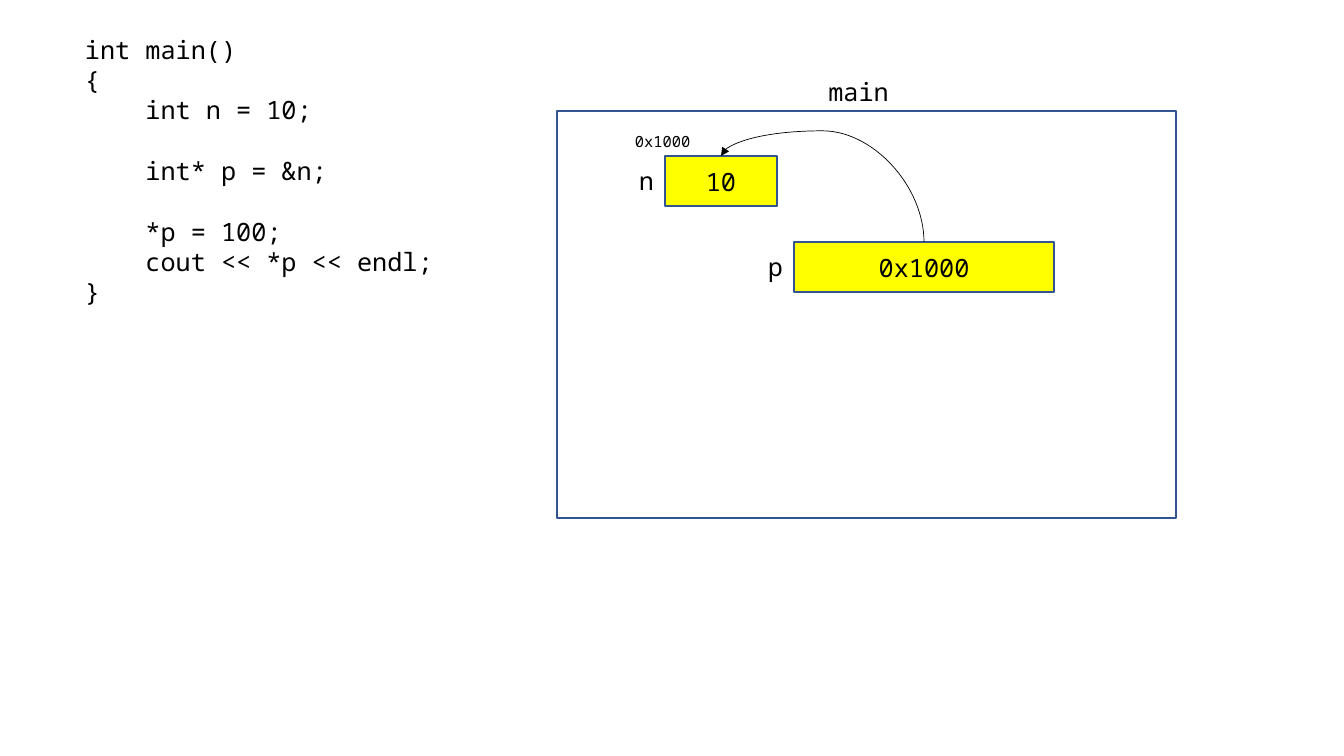
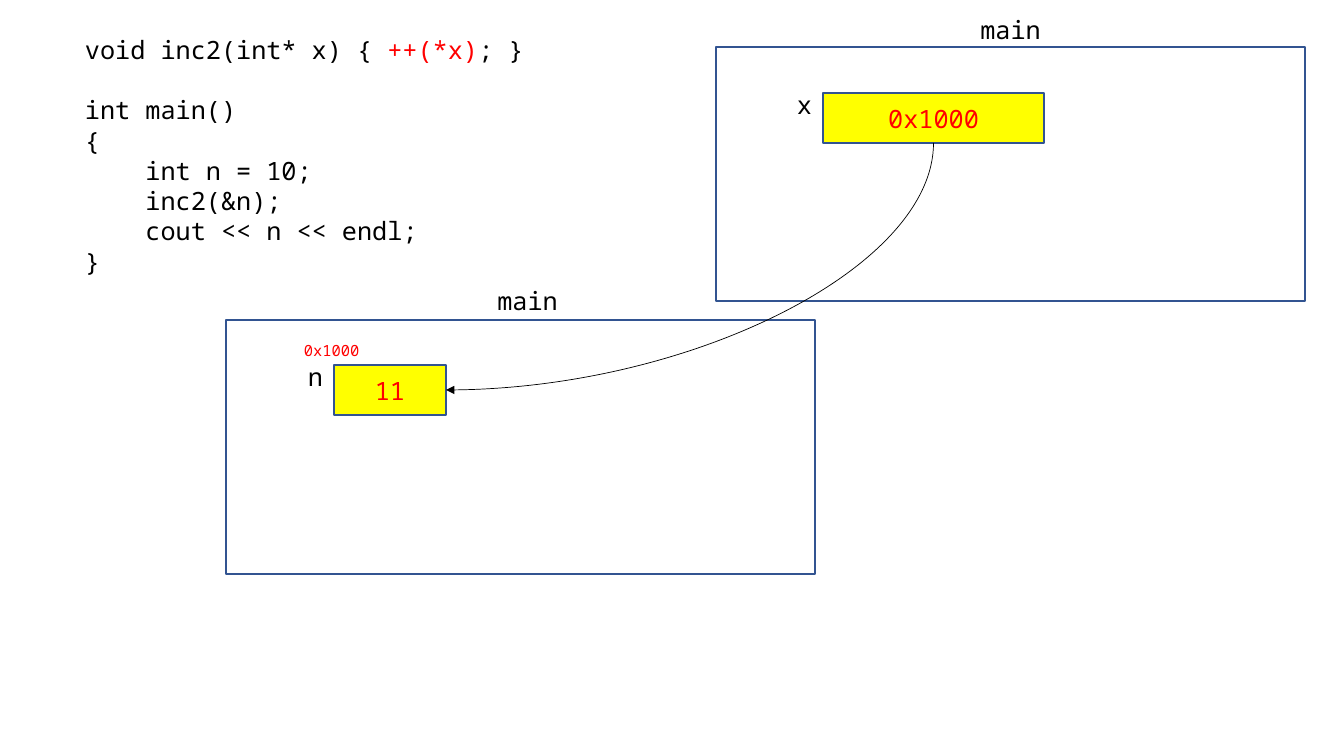
from pptx import Presentation
from pptx.dml.color import RGBColor
from pptx.enum.shapes import MSO_CONNECTOR as Link, MSO_SHAPE as Shape
from pptx.enum.text import MSO_ANCHOR as Anchor, MSO_AUTO_SIZE as Fit, PP_ALIGN as Align
from pptx.oxml.ns import qn
from pptx.util import Pt
from lxml.etree import SubElement

SCALE = 9071  # EMU per pixel
BLACK = RGBColor(0x00, 0x00, 0x00)
WHITE = RGBColor(0xFF, 0xFF, 0xFF)
RED = RGBColor(0xFF, 0x00, 0x00)
YELLOW = RGBColor(0xFF, 0xFF, 0x00)
BLUE = RGBColor(0x32, 0x54, 0x91)


def px(*nums):
    return [round(num * SCALE) for num in nums]


def point(shape, across, down):
    """Point of a shape at the given fractions of its width and height."""
    return (shape.left + round(shape.width * across),
            shape.top + round(shape.height * down))


def assign(target, **values):
    for name, value in values.items():
        setattr(target, name, value)


class Deck:
    font = "Noto Sans Mono"
    size = 18
    line = Pt(21.8)   # height of one code line
    char = Pt(10.8)   # width of one code character

    def __init__(self):
        self.prs = Presentation()
        assign(self.prs, slide_width=px(1344)[0], slide_height=px(756)[0])

    def page(self):
        self.slide = self.prs.slides.add_slide(self.prs.slide_layouts[6])

    def run(self, para, text, color=BLACK, size=size):
        run = para.add_run()
        run.text = text
        assign(run.font, name=self.font, size=Pt(size))
        run.font.color.rgb = color

    def box(self, *area):
        frame = self.slide.shapes.add_textbox(*px(*area)).text_frame
        assign(frame, word_wrap=True, auto_size=Fit.SHAPE_TO_FIT_TEXT)
        return frame

    def label(self, text, area, align=Align.LEFT, **style):
        para = self.box(*area).paragraphs[0]
        para.alignment = align
        self.run(para, text, **style)

    def code(self, area, source):
        """Empty lines become spacing, leading blanks an indent, `...` red."""
        frame = self.box(*area)
        para, gap = None, 0
        for row in source.strip().splitlines():
            text = row.lstrip()
            if not text:
                gap += self.line
                continue
            para = frame.add_paragraph() if para else frame.paragraphs[0]
            if gap:
                para.space_before = gap
            gap = 0
            depth = len(row) - len(text)
            if depth:
                para._p.get_or_add_pPr().set("marL", str(depth * self.char))
            for spot, part in enumerate(text.split("`")):
                self.run(para, part, RED if spot % 2 else BLACK)

    def rect(self, area, fill):
        shape = self.slide.shapes.add_shape(Shape.RECTANGLE, *px(*area))
        shape.shadow.inherit = False
        shape.fill.solid()
        shape.fill.fore_color.rgb = fill
        shape.line.color.rgb = BLUE
        shape.line.width = Pt(1)
        return shape

    def scope(self, name, area, shift=236, rise=40):
        self.rect(area, WHITE)
        left, top = area[:2]
        self.label(name, (left + shift, top - rise, 131, 40), Align.CENTER)

    def cell(self, name, value, left, top, width, drop, color=BLACK, address=None):
        shape = self.rect((left, top, width, 50), YELLOW)
        shape.text_frame.vertical_anchor = Anchor.MIDDLE
        para = shape.text_frame.paragraphs[0]
        para.alignment = Align.CENTER
        self.run(para, value, color)
        self.label(name, (left - 58, top + drop, 57, 40), Align.RIGHT)
        if address:
            self.label(address, (left - 40, top - 29, 81, 29), color=color, size=11)
        return shape

    def curve(self, start, end, turn, kind, bend=None):
        """Curved arrow laid out unrotated, then turned by 90 or 270 degrees."""
        mid_x, mid_y = (start[0] + end[0]) // 2, (start[1] + end[1]) // 2
        sign = 1 if turn == 90 else -1
        ends = []
        for x, y in (start, end):
            ends += [mid_x + sign * (y - mid_y), mid_y - sign * (x - mid_x)]
        arrow = self.slide.shapes.add_connector(Link.CURVE, *ends)
        arrow.line.color.rgb = BLACK
        arrow.line.width = Pt(0.5)
        props = arrow._element.spPr
        props.find(qn("a:xfrm")).set("rot", str(turn * 60000))
        form = props.find(qn("a:prstGeom"))
        form.set("prst", kind)
        if bend:
            guides = form.find(qn("a:avLst"))
            if guides is None:
                guides = SubElement(form, qn("a:avLst"))
            SubElement(guides, qn("a:gd"), name="adj1", fmla=f"val {bend}")
        SubElement(props.find(qn("a:ln")), qn("a:tailEnd"), type="triangle")
        SubElement(props, qn("a:effectLst"))


deck = Deck()

# Slide 1: pointer to a local variable
deck.page()
deck.code((75, 29, 672, 285), """
int main()
{
    int n = 10;

    int* p = &n;

    *p = 100;
    cout << *p << endl;
}
""")
deck.scope("main", (557, 111, 619, 407))
number = deck.cell("n", "10", 665, 156, 112, 4, address="0x1000")
pointer = deck.cell("p", "0x1000", 794, 242, 260, 4)
deck.curve(point(pointer, 0.5, 0), point(number, 0.5, 0), 270,
           "curvedConnector3", 129300)

# Slide 2: pointer passed to a function
deck.page()
deck.code((75, 29, 672, 254), """
void inc2(int* x) { `++(*x)`; }

int main()
{
    int n = 10;
    inc2(&n);
    cout << n << endl;
}
""")
deck.scope("main", (226, 320, 589, 254))
number = deck.cell("n", "11", 334, 365, 112, -9, RED, "0x1000")
deck.scope("main", (716, 47, 589, 254), 229, 38)
pointer = deck.cell("x", "0x1000", 823, 93, 221, -9, RED)
deck.curve(point(pointer, 0.5, 1), point(number, 1, 0.5), 90, "curvedConnector2")

deck.prs.save("out.pptx")
